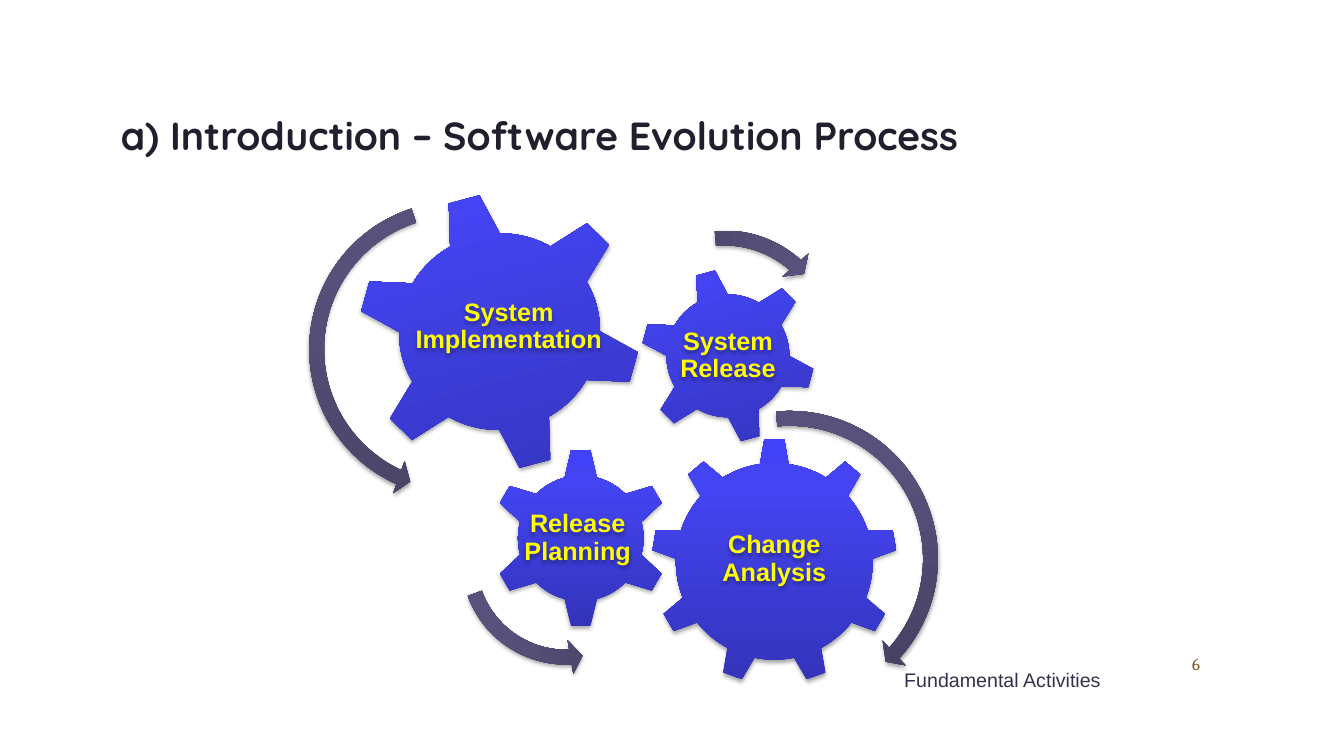
"""Build the software evolution process slide with its four gears and arrows."""
from copy import deepcopy

from lxml.etree import SubElement
from pptx import Presentation
from pptx.dml.color import RGBColor
from pptx.enum.shapes import MSO_SHAPE
from pptx.enum.text import MSO_ANCHOR, PP_ALIGN
from pptx.oxml.ns import qn
from pptx.util import Inches, Pt

INK = RGBColor(0x1F, 0x1F, 0x2E)
SLATE = RGBColor(0x32, 0x32, 0x4C)
BROWN = RGBColor(0x79, 0x55, 0x1B)
YELLOW = RGBColor(0xFF, 0xFF, 0x00)
GEAR_BLUES = [RGBColor(0x33, 0x33, 0xB9), RGBColor(0x44, 0x44, 0xF3), RGBColor(0x41, 0x41, 0xF7)]
ARROW_PURPLES = [RGBColor(0x43, 0x3D, 0x5D), RGBColor(0x58, 0x51, 0x7B), RGBColor(0x59, 0x50, 0x7C)]
STOP_POSITIONS = (0, 0.8, 1)

TITLE = "a) Introduction – Software Evolution Process"
CAPTION = "Fundamental Activities"
PAGE_NUMBER = "6"

# name, preset, gear box, rotation, label box
GEARS = [
    ("Change Analysis", MSO_SHAPE.GEAR_9, (6.46, 4.35, 2.44, 2.44), 0,
     (6.95, 4.92, 1.46, 1.26)),
    ("Release Planning", MSO_SHAPE.GEAR_6, (4.87, 4.45, 1.78, 1.78), 0,
     (5.18, 4.9, 1.1, 0.88)),
    ("System Implementation", MSO_SHAPE.GEAR_6, (3.54, 1.9, 2.83, 2.78), 345,
     (3.85, 2.53, 2.39, 1.43)),
    ("System Release", MSO_SHAPE.GEAR_6, (6.35, 2.66, 1.74, 1.74), 345,
     (6.73, 3.04, 0.98, 0.98)),
]

# preset, left, top, size, rotation, then degrees: head sweep, head base, tail
ARROWS = [
    (MSO_SHAPE.CIRCULAR_ARROW, 6.27, 3.98, 3.13, 0, 4.98, 42.06, 264.6),
    (MSO_SHAPE.LEFT_CIRCULAR_ARROW, 4.48, 4.42, 2.27, 272.6, 7.17, 174.82, 247.3),
    (MSO_SHAPE.CIRCULAR_ARROW, 5.96, 2.19, 2.45, 90, 6.57, 221.9, 175.14),
    (MSO_SHAPE.LEFT_CIRCULAR_ARROW, 2.97, 1.9, 3.13, 336.6, 4.98, 137.94, 275.4),
]
BAND_WIDTH, HEAD_HALF = 0.147, 0.171
DEGREE = 0.6


def cast_shadow(shape):
    shape.shadow.inherit = False
    effects = shape._element.spPr.find(qn("a:effectLst"))
    shadow = SubElement(effects, qn("a:outerShdw"), blurRad=str(Pt(3.1)),
                        dist=str(Pt(1.8)), dir="5400000", rotWithShape="0")
    black = SubElement(shadow, qn("a:srgbClr"), val="000000")
    SubElement(black, qn("a:alpha"), val="35000")


def draw_solid(shapes, preset, box, rotation, colours):
    solid = shapes.add_shape(preset, *map(Inches, box))
    solid.rotation = rotation
    solid.fill.gradient()
    solid.fill.gradient_angle = 90
    stops = solid._element.spPr.find(".//" + qn("a:gsLst"))
    stops.append(deepcopy(stops[-1]))
    for stop, colour, position in zip(solid.fill.gradient_stops, colours, STOP_POSITIONS):
        stop.color.rgb = colour
        stop.position = position
    solid.line.fill.background()
    cast_shadow(solid)
    return solid


def write(shapes, box, words, size, font, colour, bold=False,
          align=PP_ALIGN.LEFT, anchor=MSO_ANCHOR.TOP):
    holder = shapes.add_textbox(*map(Inches, box))
    frame = holder.text_frame
    frame.word_wrap = True
    frame.vertical_anchor = anchor
    frame.text = words
    paragraph = frame.paragraphs[0]
    paragraph.alignment = align
    style = paragraph.runs[0].font
    style.size, style.name, style.bold = Pt(size), font, bold
    style.color.rgb = colour
    return holder


def draw_gear(slide, name, preset, box, rotation, label_box):
    group = slide.shapes.add_group_shape()
    draw_solid(group.shapes, preset, box, rotation, GEAR_BLUES)
    label = write(group.shapes, label_box, name, 18, "Arial", YELLOW, True,
                  PP_ALIGN.CENTER, MSO_ANCHOR.MIDDLE)
    frame = label.text_frame
    frame.margin_left = frame.margin_right = Inches(0.01)
    frame.margin_top = frame.margin_bottom = Inches(0.01)
    frame.paragraphs[0].line_spacing = 0.9
    cast_shadow(label)


def draw_arrow(slide, preset, left, top, size, rotation, sweep, base, tail):
    arrow = draw_solid(slide.shapes, preset, (left, top, size, size), rotation, ARROW_PURPLES)
    settings = (BAND_WIDTH / size, sweep * DEGREE, base * DEGREE, tail * DEGREE,
                HEAD_HALF / size)
    for index, setting in enumerate(settings):
        arrow.adjustments[index] = setting


def main():
    deck = Presentation()
    deck.slide_width, deck.slide_height = Inches(13.33), Inches(7.5)
    slide = deck.slides.add_slide(deck.slide_layouts[6])
    write(slide.shapes, (1.1, 0.84, 11.19, 1), TITLE, 28, "Quicksand", INK, True,
          anchor=MSO_ANCHOR.MIDDLE)
    for gear in GEARS:
        draw_gear(slide, *gear)
    for arrow in ARROWS:
        draw_arrow(slide, *arrow)
    write(slide.shapes, (8.87, 6.58, 2.33, 0.34), CAPTION, 14, "Arial", SLATE)
    write(slide.shapes, (9.44, 6.44, 2.56, 0.42), PAGE_NUMBER, 12, "Cambria", BROWN,
          align=PP_ALIGN.RIGHT)
    deck.save("out.pptx")


if __name__ == "__main__":
    main()
